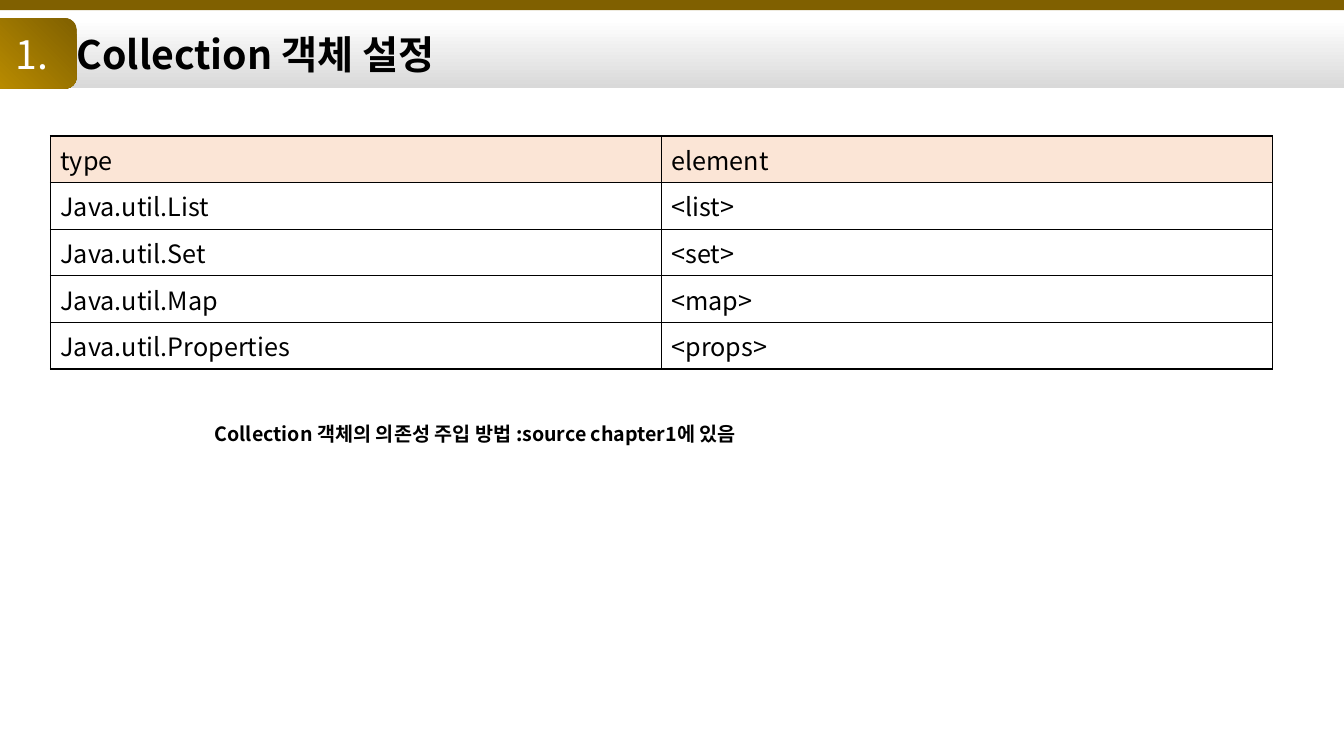
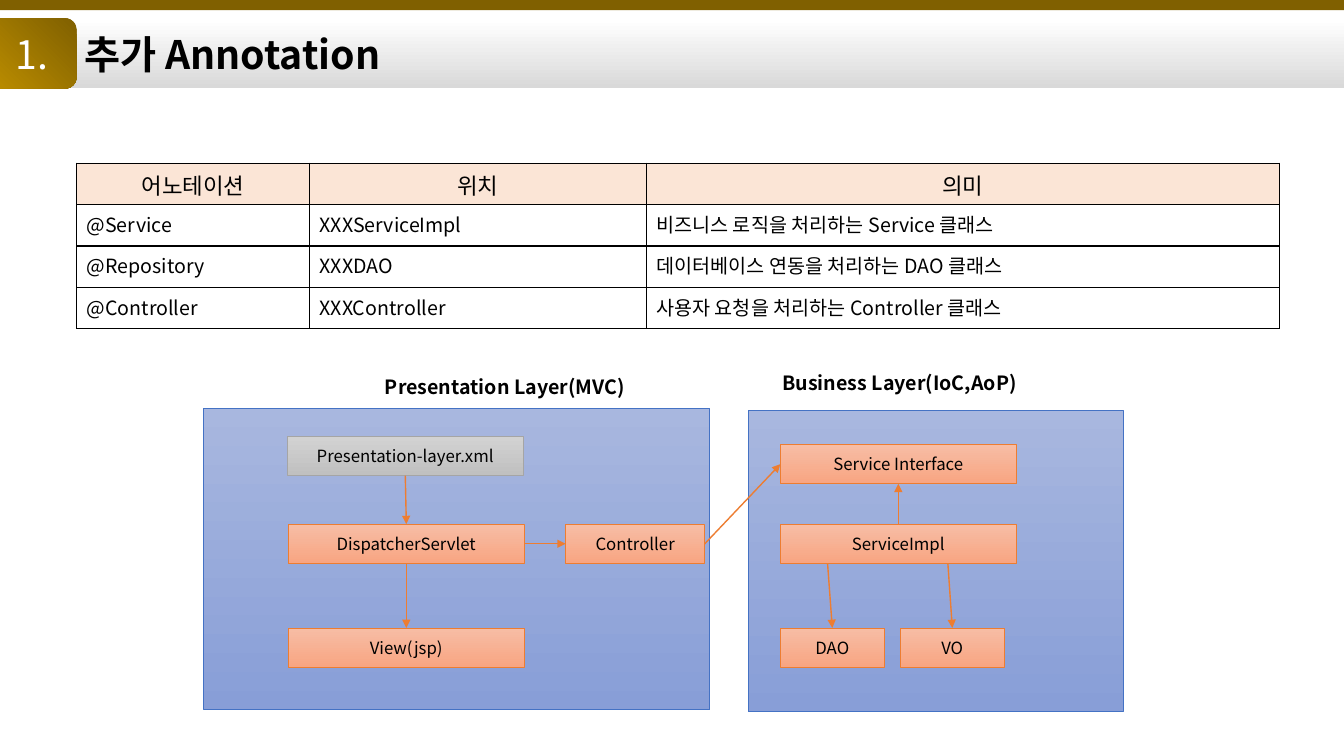
import lxml.etree
import pptx
import pptx.dml.color
import pptx.enum.shapes
import pptx.enum.text
import pptx.oxml.ns
import pptx.util

Inches = pptx.util.Inches
Pt = pptx.util.Pt
qn = pptx.oxml.ns.qn
SHAPE = pptx.enum.shapes.MSO_SHAPE
ALIGN = pptx.enum.text.PP_ALIGN
MIDDLE = pptx.enum.text.MSO_ANCHOR.MIDDLE

FONT = "Noto Sans CJK KR"
BLACK, WHITE = "000000", "FFFFFF"
GOLD, LIGHT_GOLD = "806000", "BF9000"
TITLE_BAND = (WHITE, "D9D9D9")
TABLE_HEAD = "FBE5D6"
ORANGE_LINE = "ED7D31"
PANEL = (("A8B7DF", "889ED7"), "4472C4")
ORANGE = (("F7BDA5", "F8A582"), ORANGE_LINE)
GRAY = (("D2D2D2", "C0C0C0"), "A5A5A5")
TITLE_SIZE, LABEL_SIZE, NODE_SIZE = 28, 14, 12
SLIDE_W, SLIDE_H = 13.33, 7.5
NODE_W, NODE_H = 2.34, 0.39


def rgb(value):
    """Return the colour for a hex string."""
    return pptx.dml.color.RGBColor.from_string(value)


def write(tf, text, size, color=BLACK, bold=False, align=ALIGN.LEFT):
    """Put one styled paragraph in a text frame."""
    p = tf.paragraphs[0]
    p.text = text
    p.alignment = align
    p.font.size = Pt(size)
    p.font.bold = bold
    p.font.color.rgb = rgb(color)
    p.font.name = FONT
    props = p._p.get_or_add_pPr().find(qn("a:defRPr"))
    lxml.etree.SubElement(props, qn("a:ea"), typeface=FONT)


def add_box(slide, box, fill, line=None, kind=SHAPE.RECTANGLE, angle=90):
    """Add a preset shape filled with a colour or a pair of gradient colours."""
    sp = slide.shapes.add_shape(kind, *map(Inches, box))
    sp.shadow.inherit = False
    if isinstance(fill, tuple):
        sp.fill.gradient()
        sp.fill.gradient_angle = 360 - angle
        for stop, color in zip(sp.fill.gradient_stops, fill):
            stop.color.rgb = rgb(color)
    else:
        sp.fill.solid()
        sp.fill.fore_color.rgb = rgb(fill)
    if line:
        sp.line.color.rgb = rgb(line)
        sp.line.width = Pt(0.5)
    else:
        sp.line.fill.background()
    sp.text_frame.vertical_anchor = MIDDLE
    return sp


def add_label(slide, box, text):
    """Add a bold text box."""
    tf = slide.shapes.add_textbox(*map(Inches, box)).text_frame
    tf.word_wrap = True
    write(tf, text, LABEL_SIZE, bold=True)


def add_header(slide, number, title, indent):
    """Draw the title band, top stripe and number tab."""
    band = add_box(slide, (0.43, 0.19, 12.92, 0.68), TITLE_BAND)
    band.text_frame.margin_left = Inches(indent)
    write(band.text_frame, title, TITLE_SIZE, bold=True)
    add_box(slide, (0, 0, SLIDE_W, 0.1), GOLD)
    tab = add_box(slide, (-0.18, 0.18, 0.94, 0.7), (GOLD, LIGHT_GOLD),
                  kind=SHAPE.ROUNDED_RECTANGLE, angle=135)
    tab.text_frame.margin_left = Inches(0.16)
    write(tab.text_frame, number, TITLE_SIZE, WHITE, align=ALIGN.CENTER)


def add_borders(cell):
    """Give a table cell a thin black border on all sides."""
    props = cell._tc.get_or_add_tcPr()
    for side in ("lnL", "lnR", "lnT", "lnB"):
        ln = lxml.etree.SubElement(props, qn("a:" + side), w=str(Pt(1)))
        fill = lxml.etree.SubElement(ln, qn("a:solidFill"))
        lxml.etree.SubElement(fill, qn("a:srgbClr"), val=BLACK)


def add_grid(slide, left, top, widths, rows, head_size, body_size, head_align):
    """Add a bordered table with a tinted heading row."""
    row_h = 0.41
    table = slide.shapes.add_table(
        len(rows), len(widths), Inches(left), Inches(top),
        Inches(sum(widths)), Inches(row_h * len(rows))).table
    table.first_row = table.horz_banding = False
    for column, width in zip(table.columns, widths):
        column.width = Inches(width)
    for i, texts in enumerate(rows):
        table.rows[i].height = Inches(row_h)
        for j, text in enumerate(texts):
            cell = table.cell(i, j)
            add_borders(cell)
            if i == 0:
                cell.fill.solid()
                cell.fill.fore_color.rgb = rgb(TABLE_HEAD)
                write(cell.text_frame, text, head_size, align=head_align)
            else:
                cell.fill.background()
                write(cell.text_frame, text, body_size)


def add_layer(slide, box, label, label_box, nodes):
    """Draw a labelled panel and return its nodes by name."""
    left, top = box[:2]
    add_box(slide, box, *PANEL)
    x, y, w, h = label_box
    add_label(slide, (left + x, top + y, w, h), label)
    made = {}
    for text, x, y, w, style in nodes:
        sp = add_box(slide, (left + x, top + y, w, NODE_H), *style)
        write(sp.text_frame, text, NODE_SIZE, align=ALIGN.CENTER)
        made[text] = sp
    return made


def add_arrow(slide, start, start_side, end, end_side, start_x=None):
    """Join two nodes, or leave the first one's bottom at a given fraction."""
    cx = slide.shapes.add_connector(
        pptx.enum.shapes.MSO_CONNECTOR.STRAIGHT, 0, 0, 0, 0)
    if start_x is None:
        cx.begin_connect(start, start_side)
    else:
        cx.begin_x = start.left + int(start.width * start_x)
        cx.begin_y = start.top + start.height
    cx.end_connect(end, end_side)
    cx.line.color.rgb = rgb(ORANGE_LINE)
    cx.line.width = Pt(1)
    lxml.etree.SubElement(cx.line._get_or_add_ln(), qn("a:tailEnd"), type="triangle")
    lxml.etree.SubElement(cx._element.spPr, qn("a:effectLst"))


def add_layers(slide, left, top):
    """Draw the presentation and business layers with their arrows."""
    nodes = add_layer(
        slide, (left, top, 5.02, 2.99),
        "Presentation Layer(MVC)", (1.7, -0.38, 2.67, 0.34),
        [("Presentation-layer.xml", 0.83, 0.28, NODE_W, GRAY),
         ("DispatcherServlet", 0.84, 1.15, NODE_W, ORANGE),
         ("View(jsp)", 0.84, 2.18, NODE_W, ORANGE),
         ("Controller", 3.59, 1.15, 1.38, ORANGE)])
    nodes.update(add_layer(
        slide, (left + 5.4, top + 0.02, 3.72, 2.99),
        "Business Layer(IoC,AoP)", (0.24, -0.44, 2.69, 0.34),
        [("Service Interface", 0.32, 0.34, NODE_W, ORANGE),
         ("ServiceImpl", 0.32, 1.13, NODE_W, ORANGE),
         ("DAO", 0.32, 2.16, 1.03, ORANGE),
         ("VO", 1.51, 2.16, 1.03, ORANGE)]))
    for start, start_side, end, end_side, start_x in (
            ("Presentation-layer.xml", 2, "DispatcherServlet", 0, None),
            ("DispatcherServlet", 2, "View(jsp)", 0, None),
            ("DispatcherServlet", 3, "Controller", 1, None),
            ("Controller", 3, "Service Interface", 1, None),
            ("ServiceImpl", 0, "Service Interface", 2, None),
            ("ServiceImpl", 2, "DAO", 0, 0.2),
            ("ServiceImpl", 2, "VO", 0, 0.71)):
        add_arrow(slide, nodes[start], start_side, nodes[end], end_side, start_x)


def collection_slide(slide):
    """Build the slide on collection settings."""
    add_header(slide, "1.", "Collection 객체 설정", 0.33)
    add_grid(slide, 0.5, 1.35, (6.06, 6.06), [
        ("type", "element"),
        ("Java.util.List", "<list>"),
        ("Java.util.Set", "<set>"),
        ("Java.util.Map", "<map>"),
        ("Java.util.Properties", "<props>")], 18, 18, ALIGN.LEFT)
    add_label(slide, (2.03, 4.14, 5.53, 0.34),
              "Collection 객체의 의존성 주입 방법 :source chapter1에 있음")


def annotation_slide(slide):
    """Build the slide on annotations and layers."""
    add_header(slide, "1.", "추가 Annotation", 0.41)
    add_grid(slide, 0.76, 1.62, (2.31, 3.34, 6.28), [
        ("어노테이션", "위치", "의미"),
        ("@Service", "XXXServiceImpl", "비즈니스 로직을 처리하는 Service 클래스"),
        ("@Repository", "XXXDAO", "데이터베이스 연동을 처리하는 DAO 클래스"),
        ("@Controller", "XXXController", "사용자 요청을 처리하는 Controller 클래스")],
        16, 14, ALIGN.CENTER)
    add_layers(slide, 2.02, 4.05)


def main():
    """Build and save the presentation."""
    prs = pptx.Presentation()
    prs.slide_width, prs.slide_height = Inches(SLIDE_W), Inches(SLIDE_H)
    for build in (collection_slide, annotation_slide):
        build(prs.slides.add_slide(prs.slide_layouts[6]))
    prs.save("out.pptx")


if __name__ == "__main__":
    main()
